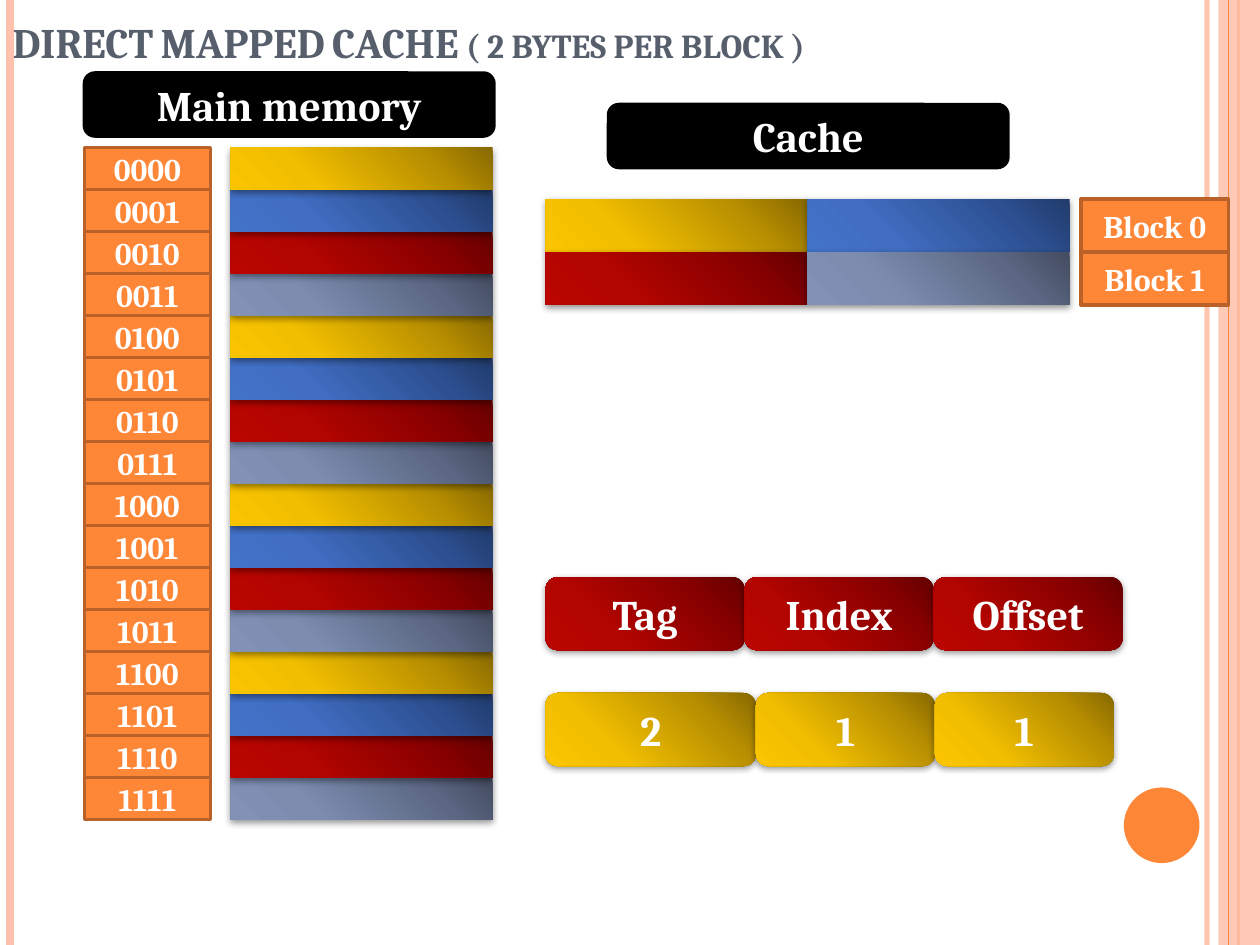
from typing import NamedTuple, Optional

from lxml.etree import SubElement
from pptx import Presentation
from pptx.dml.color import RGBColor
from pptx.enum.shapes import MSO_CONNECTOR as Connector, MSO_SHAPE as Shape
from pptx.enum.text import MSO_ANCHOR as Anchor, MSO_AUTO_SIZE as AutoSize, PP_ALIGN as Align
from pptx.oxml import parse_xml
from pptx.oxml.ns import nsdecls, qn
from pptx.util import Inches, Pt

ORANGE, BROWN, PEACH = "FE8637", "B96128", "FEC2AC"
BLACK, WHITE, SLATE = "000000", "FFFFFF", "575F6D"
STOP_POSITIONS = (0, 30, 75, 100)
YELLOW = ("FAC500", "F1BE00", "B88F00", "866900")
BLUE = ("4373C9", "416EC2", "2D5092", "213B6A")
RED = ("BA0500", "B20500", "890000", "630000")
GREY = ("8291B6", "7C8DB0", "5B6783", "434B5F")
BYTE_COLOURS = (YELLOW, BLUE, RED, GREY)

MEMORY_TOP, MEMORY_ROW = 1.17, 1 / 3
CACHE_LEFT, CACHE_TOP = 4.33, 1.58
BYTE_WIDTH, CACHE_ROW = 2.08, 0.42


class Rule(NamedTuple):
    x: float
    colour: str
    weight: float
    opacity: int = 100


class Box(NamedTuple):
    left: float
    top: float
    width: float
    height: float
    text: str = ""
    size: int = 24
    fill: str = ORANGE
    line: Optional[str] = None
    gradient: Optional[tuple] = None
    shape: Shape = Shape.RECTANGLE
    opacity: int = 100


class FieldRow(NamedTuple):
    top: float
    gradient: tuple
    labels: tuple
    widths: tuple


MARGIN_RULES = (Rule(9.58, PEACH, 3, 93), Rule(0.08, PEACH, 4.5), Rule(9.83, ORANGE, 1.5))
FIELD_ROWS = (
    FieldRow(4.58, RED, ("Tag", "Index", "Offset"), (1.58, 1.5, 1.5)),
    FieldRow(5.5, YELLOW, ("2", "1", "1"), (1.67, 1.42, 1.42)),
)


def rgb(colour: str) -> RGBColor:
    return RGBColor.from_string(colour)


def write(shape, text: str, *, size: int = 24, colour: str = WHITE,
          align: Align = Align.CENTER, anchor: Anchor = Anchor.MIDDLE,
          small_caps: bool = False) -> None:
    frame = shape.text_frame
    frame.word_wrap = True
    frame.auto_size = AutoSize.NONE
    frame.vertical_anchor = anchor
    paragraph = frame.paragraphs[0]
    paragraph.alignment = align
    run = paragraph.add_run()
    run.text = text
    font = run.font
    font.name, font.size, font.bold = "Cambria", Pt(size), True
    font.color.rgb = rgb(colour)
    if small_caps:
        run._r.get_or_add_rPr().set("cap", "small")


def set_opacity(element, percent: int) -> None:
    if percent < 100:
        colour = next(element.iter(qn("a:srgbClr")))
        SubElement(colour, qn("a:alpha"), val=str(percent * 1000))


def add_glow_fill(shape, colours: tuple) -> None:
    """Radial gradient from the bottom-left corner, with a soft shadow below."""
    stops = "".join(
        f'<a:gs pos="{position * 1000}"><a:srgbClr val="{colour}"/></a:gs>'
        for position, colour in zip(STOP_POSITIONS, colours))
    gradient = parse_xml(
        f'<a:gradFill {nsdecls("a")} rotWithShape="1"><a:gsLst>{stops}</a:gsLst>'
        '<a:path path="circle"><a:fillToRect t="100000" r="100000"/></a:path></a:gradFill>')
    shadow = parse_xml(
        f'<a:effectLst {nsdecls("a")}><a:outerShdw blurRad="{Pt(4)}" dist="{Pt(1.6)}" '
        'dir="5400000" rotWithShape="0"><a:srgbClr val="000000"><a:alpha val="42000"/>'
        '</a:srgbClr></a:outerShdw></a:effectLst>')
    properties = shape._element.spPr
    properties.find(qn("a:prstGeom")).addnext(gradient)
    properties.replace(properties.find(qn("a:effectLst")), shadow)


def draw_box(slide, box: Box) -> None:
    shape = slide.shapes.add_shape(box.shape, Inches(box.left), Inches(box.top),
                                   Inches(box.width), Inches(box.height))
    shape.shadow.inherit = False
    if box.line:
        shape.line.color.rgb = rgb(box.line)
        shape.line.width = Pt(2)
    else:
        shape.line.fill.background()
    if box.gradient:
        add_glow_fill(shape, box.gradient)
    else:
        shape.fill.solid()
        shape.fill.fore_color.rgb = rgb(box.fill)
        set_opacity(shape._element.spPr, box.opacity)
    if box.text:
        write(shape, box.text, size=box.size)


def draw_rule(slide, rule: Rule) -> None:
    line = slide.shapes.add_connector(Connector.STRAIGHT, Inches(rule.x), 0,
                                      Inches(rule.x), Inches(7.5))
    line.line.color.rgb = rgb(rule.colour)
    line.line.width = Pt(rule.weight)
    properties = line._element.spPr
    set_opacity(properties, rule.opacity)
    SubElement(properties, qn("a:effectLst"))


def draw_margins(slide) -> None:
    for rule in MARGIN_RULES:
        draw_rule(slide, rule)
    draw_box(slide, Box(9.67, 0, 0.33, 7.5, fill=PEACH, opacity=87))
    draw_rule(slide, Rule(9.75, ORANGE, 0.75))
    draw_box(slide, Box(8.92, 6.25, 0.6, 0.6, shape=Shape.OVAL))


def draw_title(slide) -> None:
    title = slide.shapes.title
    title.left, title.top, title.width, title.height = 0, 0, Inches(10), Inches(0.58)
    write(title, "DIRECT MAPPED CACHE ( 2 bytes per block )", colour=SLATE,
          align=Align.LEFT, anchor=Anchor.BOTTOM, small_caps=True)
    title.element.getparent().append(title.element)


def draw_heading(slide, text: str, left: float, top: float, width: float) -> None:
    draw_box(slide, Box(left, top, width, 0.5, text, fill=BLACK, line=BLACK,
                        shape=Shape.ROUNDED_RECTANGLE))


def draw_memory(slide) -> None:
    """Addresses and bytes, bottom row first so shadows fall on the row below."""
    draw_heading(slide, "Main memory", 0.67, 0.58, 3.25)
    for address in reversed(range(16)):
        top = MEMORY_TOP + address * MEMORY_ROW
        draw_box(slide, Box(1.83, top, BYTE_WIDTH, MEMORY_ROW,
                            gradient=BYTE_COLOURS[address % 4]))
        draw_box(slide, Box(0.67, top, 1, MEMORY_ROW, f"{address:04b}", 18, line=BROWN))


def draw_cache(slide) -> None:
    draw_heading(slide, "Cache", 4.83, 0.83, 3.17)
    for index, gradient in enumerate(BYTE_COLOURS):
        block, offset = divmod(index, 2)
        draw_box(slide, Box(CACHE_LEFT + offset * BYTE_WIDTH, CACHE_TOP + block * CACHE_ROW,
                            BYTE_WIDTH, CACHE_ROW, gradient=gradient))
    for block in range(2):
        draw_box(slide, Box(8.58, CACHE_TOP + block * CACHE_ROW, 1.17, CACHE_ROW,
                            f"Block {block}", 18, line=BROWN))


def draw_fields(slide, row: FieldRow) -> None:
    left = CACHE_LEFT
    for label, width in zip(row.labels, row.widths):
        draw_box(slide, Box(left, row.top, width, 0.58, label, gradient=row.gradient,
                            shape=Shape.ROUNDED_RECTANGLE))
        left += width


def main() -> None:
    deck = Presentation()
    deck.slide_width, deck.slide_height = Inches(10), Inches(7.5)
    slide = deck.slides.add_slide(deck.slide_layouts[5])
    draw_margins(slide)
    draw_title(slide)
    draw_memory(slide)
    draw_cache(slide)
    for row in FIELD_ROWS:
        draw_fields(slide, row)
    deck.save("out.pptx")


if __name__ == "__main__":
    main()
